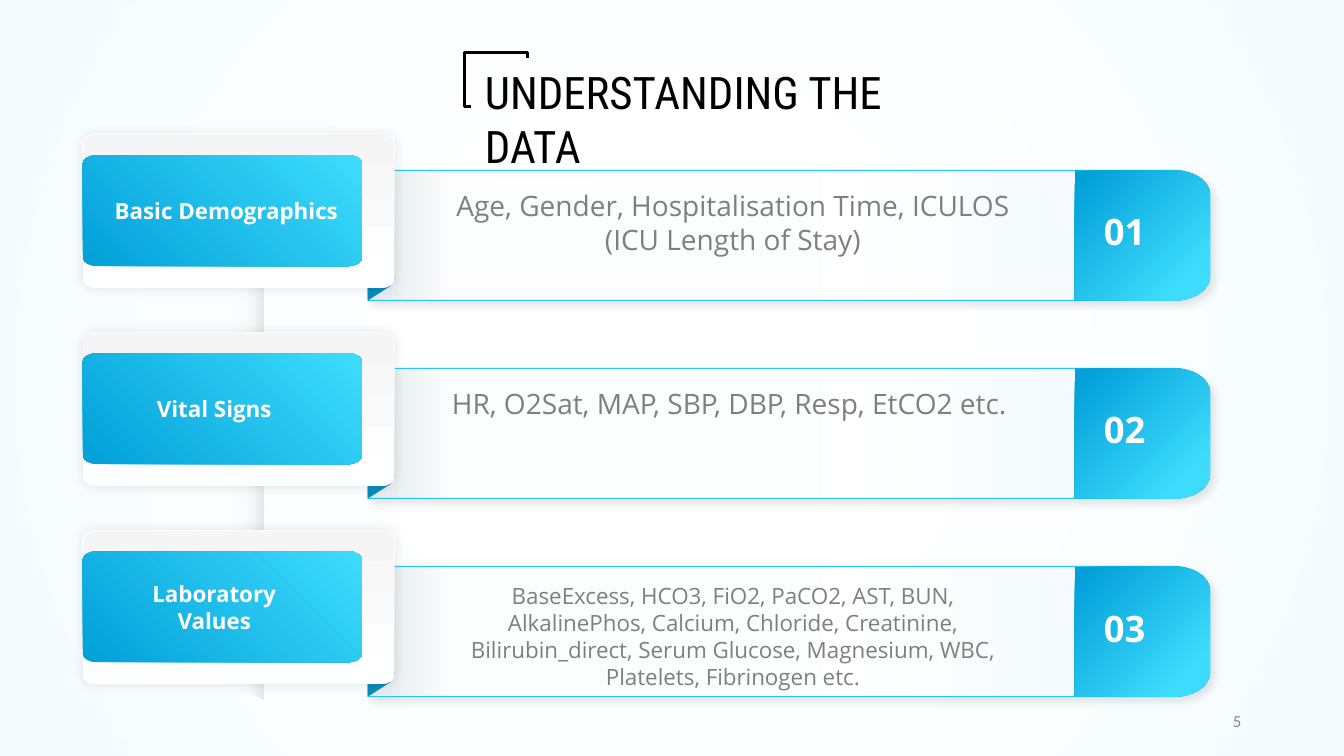
import lxml.etree
import pptx
import pptx.dml.color
import pptx.enum.shapes
import pptx.enum.text
import pptx.oxml.ns
import pptx.util

Inches = pptx.util.Inches
Align = pptx.enum.text.PP_ALIGN
Anchor = pptx.enum.text.MSO_ANCHOR
qualify = pptx.oxml.ns.qn

COLORS = {
    "white": "FFFFFF", "mist": "F5FCFF", "ice": "F2F9FC", "frost": "FCFDFD",
    "silver": "E1E8EB", "pearl": "F5F5F5", "blue": "01A0D9", "cyan": "3EDCFC",
    "outline": "29C6FA", "fold": "098CBB", "black": "000000",
    "body": "7F7F7F", "number": "888888",
}
GRADIENTS = {
    "backdrop": ([(0, "white", 100), (25, "white", 100), (100, "mist", 100)], None),
    "spine": ([(0, "white", 0), (31, "white", 0), (80, "frost", 30), (100, "silver", 100)], 0),
    "bar": ([(0, "silver", 100), (10, "frost", 100), (54, "white", 100),
             (90, "ice", 100), (100, "ice", 100)], 0),
    "card": ([(0, "white", 100), (100, "pearl", 100)], 270),
    "rim": ([(0, "white", 0), (100, "white", 100)], 270),
    "label": ([(0, "blue", 100), (100, "cyan", 100)], 315),
    "badge": ([(0, "blue", 100), (5, "blue", 100), (84, "cyan", 100), (100, "cyan", 100)], 45),
}
STYLES = {
    "title": {"size": 32, "name": "Roboto Condensed", "bold": False, "color": "black"},
    "badge": {"size": 26, "name": "Open Sans", "bold": True, "color": "white"},
    "label": {"size": 16, "name": "Open Sans", "bold": True, "color": "white"},
    "large": {"size": 20, "name": "Open Sans", "bold": False, "color": "body"},
    "small": {"size": 16, "name": "Open Sans", "bold": False, "color": "body"},
    "number": {"size": 12, "name": "Calibri", "bold": False, "color": "number"},
}
ROWS = [
    {"label": "Basic Demographics", "label_box": (0.21, 2.43), "rim_overhang": 0,
     "style": "large", "body_box": (0.49, 0.96),
     "body": "Age, Gender, Hospitalisation Time, ICULOS (ICU Length of Stay)"},
    {"label": "Vital Signs", "label_box": (0.09, 2.43), "rim_overhang": 0.28,
     "style": "large", "body_box": (0.49, 1.1),
     "body": "HR, O2Sat, MAP, SBP, DBP, Resp, EtCO2 etc. "},
    {"label": "Laboratory Values", "label_box": (0.34, 1.93), "rim_overhang": 0,
     "style": "small", "body_box": (0.47, 0.44),
     "body": "BaseExcess, HCO3, FiO2, PaCO2, AST, BUN, AlkalinePhos, Calcium, Chloride, "
             "Creatinine, Bilirubin_direct, Serum Glucose, Magnesium, WBC, Platelets, "
             "Fibrinogen etc."},
]


def rgb(color):
    return pptx.dml.color.RGBColor.from_string(COLORS[color])


def add_element(parent, tag, **attributes):
    values = {name: str(value) for name, value in attributes.items()}
    return lxml.etree.SubElement(parent, qualify(tag), values)


def add_color(parent, color, opacity):
    element = add_element(parent, "a:srgbClr", val=COLORS[color])
    if opacity < 100:
        add_element(element, "a:alpha", val=opacity * 1000)


def paint_gradient(shape, name):
    stops, angle = GRADIENTS[name]
    shape.fill.background()
    properties = shape._element.spPr
    placeholder = properties.find(qualify("a:noFill"))
    gradient = lxml.etree.Element(qualify("a:gradFill"), rotWithShape="1")
    stop_list = add_element(gradient, "a:gsLst")
    for position, color, opacity in stops:
        add_color(add_element(stop_list, "a:gs", pos=position * 1000), color, opacity)
    if angle is None:
        center = add_element(gradient, "a:path", path="circle")
        add_element(center, "a:fillToRect", l=50000, t=50000, r=50000, b=50000)
    else:
        add_element(gradient, "a:lin", ang=angle * 60000, scaled=0)
    properties.replace(placeholder, gradient)


def finish(shape, gradient=None, solid=None, line=None, shadow=None):
    if gradient:
        paint_gradient(shape, gradient)
    elif solid:
        shape.fill.solid()
        shape.fill.fore_color.rgb = rgb(solid)
    else:
        shape.fill.background()
    if line:
        color, width = line
        shape.line.color.rgb = rgb(color)
        shape.line.width = pptx.util.Pt(width)
    else:
        shape.line.fill.background()
    shape.shadow.inherit = False
    if shadow:
        blur, distance, angle = shadow
        effects = shape._element.spPr.find(qualify("a:effectLst"))
        outer = add_element(effects, "a:outerShdw", blurRad=pptx.util.Pt(blur),
                            dist=pptx.util.Pt(distance), dir=angle * 60000, rotWithShape=0)
        add_color(outer, "black", 10)


def rounded_outline(left, top, width, height, radii, corners=(0, 1, 2, 3)):
    radius_x, radius_y = radii
    points = []
    for corner, (side, end) in enumerate([(1, 1), (0, 1), (0, 0), (1, 0)]):
        x, y = left + side * width, top + end * height
        if corner not in corners:
            points.append((x, y))
            continue
        beside = (x + radius_x * (1 - 2 * side), y)
        along = (x, y + radius_y * (1 - 2 * end))
        start, stop = (beside, along) if corner % 2 else (along, beside)
        points += [start, (*stop, (x, y))]
    return points


def bend_corners(shape, contours):
    steps = [step for step in shape._element.iter(qualify("a:moveTo"), qualify("a:lnTo"))]
    points = [point for contour in contours for point in contour]
    origin_x, origin_y = shape.left, shape.top
    for index, (step, point) in enumerate(zip(steps, points)):
        if len(point) < 3:
            continue
        corner = point[2]
        curve = lxml.etree.Element(qualify("a:cubicBezTo"))
        for anchor, pull in ((points[index - 1], 0.55), (point, 0.55), (point, 0)):
            x, y = (anchor[axis] + pull * (corner[axis] - anchor[axis]) for axis in (0, 1))
            add_element(curve, "a:pt", x=Inches(x) - origin_x, y=Inches(y) - origin_y)
        step.getparent().replace(step, curve)


def add_outline(shapes, *contours, close=True, **look):
    places = [[(Inches(point[0]), Inches(point[1])) for point in contour] for contour in contours]
    builder = shapes.build_freeform(*places[0][0])
    for index, contour in enumerate(places):
        if index:
            builder.move_to(*contour[0])
        builder.add_line_segments(contour[1:], close=close)
    shape = builder.convert_to_shape()
    bend_corners(shape, contours)
    finish(shape, **look)


def add_text(shapes, box, text, style, align=Align.LEFT, anchor=Anchor.TOP, insets=(0.1, 0.05)):
    frame = shapes.add_textbox(*map(Inches, box)).text_frame
    side, end = map(Inches, insets)
    settings = {"word_wrap": True, "vertical_anchor": anchor, "margin_left": side,
                "margin_right": side, "margin_top": end, "margin_bottom": end}
    for name, value in settings.items():
        setattr(frame, name, value)
    paragraph = frame.paragraphs[0]
    paragraph.alignment = align
    run = paragraph.add_run()
    run.text = text
    look = STYLES[style]
    for name, value in {"size": pptx.util.Pt(look["size"]), "name": look["name"],
                        "bold": look["bold"]}.items():
        setattr(run.font, name, value)
    run.font.color.rgb = rgb(look["color"])


def draw_backdrop(shapes, *box):
    rectangle = pptx.enum.shapes.MSO_SHAPE.RECTANGLE
    finish(shapes.add_shape(rectangle, *map(Inches, box)), gradient="backdrop")


def draw_spine(shapes, left, top, width, height):
    right, bottom = left + width, top + height
    add_outline(shapes, [(right, bottom), (left, bottom - 0.5), (left, top + 0.5), (right, top)],
                gradient="spine")


def draw_row(shapes, left, top, width, height, number, row):
    bar_left, bar_top = left + 2.83, top + 0.36
    right, bottom = left + width, top + height
    bar_height = bottom - bar_top
    ends = {"radii": (0.36, 0.24), "corners": (0, 3)}
    add_outline(shapes, rounded_outline(bar_left, bar_top, right - bar_left, bar_height, **ends),
                gradient="bar", line=("outline", 0.75), shadow=(6, 3, 45))
    fold = [(0, -0.27), (0.24, -0.27), (0.26, -0.24), (0.26, -0.21), (0.22, -0.14), (0, 0)]
    add_outline(shapes, [(bar_left + x, bottom + y) for x, y in fold], solid="fold")
    card_width, card_height, rim = 3.09, 1.53, 0.01
    radii = (0.13, 0.09)
    add_outline(shapes, rounded_outline(left, top, card_width, card_height, radii),
                gradient="card", shadow=(8, 0, 0))
    rim_left, rim_width = left - row["rim_overhang"], card_width + row["rim_overhang"]
    add_outline(shapes, rounded_outline(rim_left, top, rim_width, card_height, radii),
                rounded_outline(rim_left + rim, top + rim, rim_width - 2 * rim,
                                card_height - 2 * rim, (0.12, 0.08)), gradient="rim")
    add_outline(shapes, rounded_outline(left, top + 0.21, 2.77, 1.1, (0.14, 0.08)),
                gradient="label")
    add_outline(shapes, rounded_outline(right - 1.34, bar_top, 1.34, bar_height, **ends),
                gradient="badge")
    add_text(shapes, (right - 1.15, top + 0.7, 0.93, 0.54), f"{number:02d}", "badge")
    label_offset, label_width = row["label_box"]
    add_text(shapes, (left + label_offset, top + 0.44, label_width, 0.64), row["label"],
             "label", Align.CENTER, Anchor.MIDDLE)
    body_offset, body_height = row["body_box"]
    add_text(shapes, (left + 3.45, top + body_offset, 6, body_height), row["body"],
             row["style"], Align.CENTER)


def draw_title(shapes, left, top, width, height):
    add_text(shapes, (left + 0.2, top + 0.12, width - 0.2, height - 0.12),
             "UNDERSTANDING THE DATA", "title", insets=(0, 0))
    bracket = [(0.06, 0.54), (0, 0.54), (0, 0), (0.62, 0), (0.62, 0.06)]
    add_outline(shapes, [(left + x, top + y) for x, y in bracket], close=False,
                line=("black", 2.25))


def main():
    presentation = pptx.Presentation()
    presentation.slide_width, presentation.slide_height = Inches(13.33), Inches(7.5)
    slide = presentation.slides.add_slide(presentation.slide_layouts[6])
    draw_backdrop(slide.shapes, 0, 0, 13.33, 7.5)
    draw_spine(slide.shapes, 1.54, 1.33, 1.07, 5.61)
    rows = slide.shapes.add_group_shape().shapes
    for index, row in enumerate(ROWS):
        draw_row(rows, 0.82, 1.33 + 3.93 * index / 2, 11.18, 1.65, index + 1, row)
    draw_title(slide.shapes.add_group_shape().shapes, 4.61, 0.52, 4.91, 0.66)
    add_text(slide.shapes, (9.41, 6.95, 3, 0.4), "5", "number", Align.RIGHT, Anchor.MIDDLE)
    presentation.save("out.pptx")


if __name__ == "__main__":
    main()
